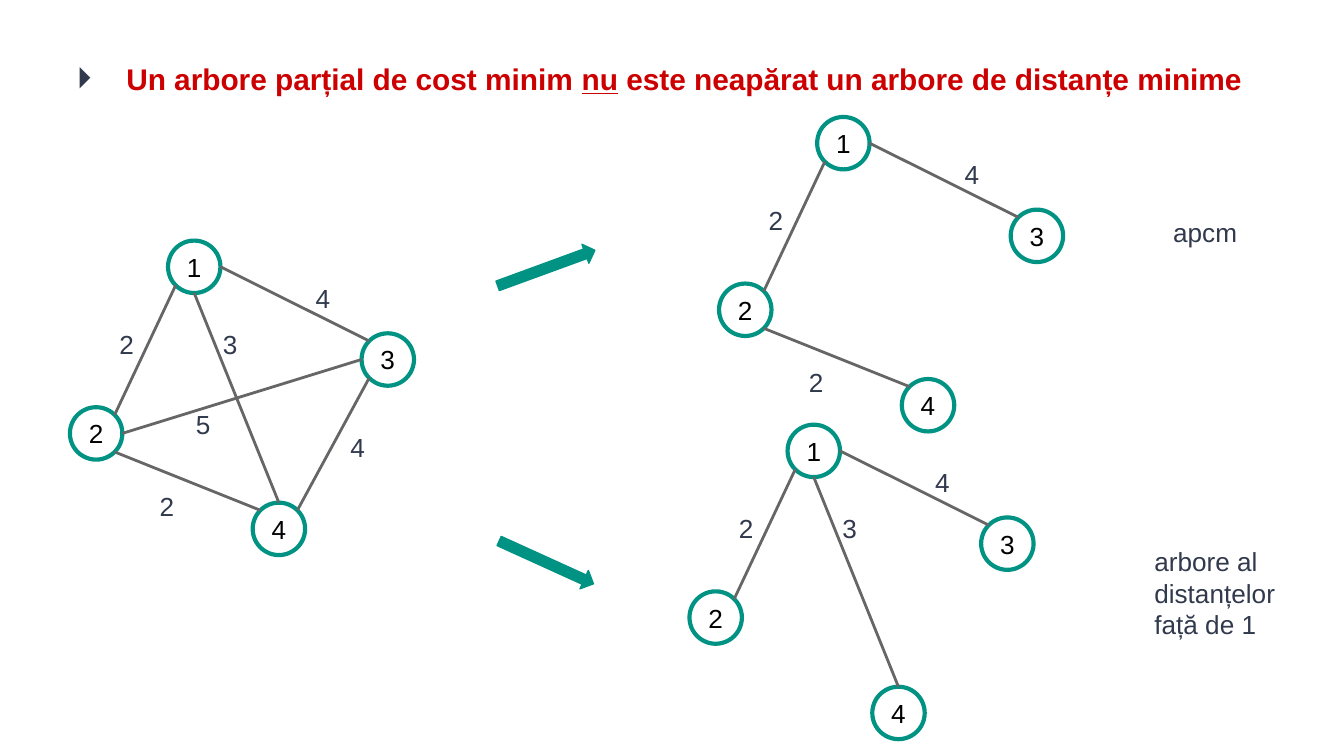
import math

import pptx
import pptx.util
import pptx.dml.color
import pptx.enum.shapes
import pptx.enum.text
from lxml import etree

Inches, Pt = pptx.util.Inches, pptx.util.Pt
Kind = pptx.enum.shapes.MSO_SHAPE
TEAL, GRAY, NAVY, RED = "009384", "666666", "31394D", "CC0000"


def paint(color, tone):
    color.rgb = pptx.dml.color.RGBColor.from_string(tone)


def write(frame, *parts, size=14, tone=NAVY, bold=False, pad=0.1,
          align="LEFT", anchor="TOP"):
    """Fill a frame with one paragraph; a part in a tuple is underlined."""
    frame.word_wrap = True
    frame.vertical_anchor = getattr(pptx.enum.text.MSO_ANCHOR, anchor)
    frame.margin_left = frame.margin_right = Inches(pad)
    frame.margin_top = frame.margin_bottom = Inches(pad)
    para = frame.paragraphs[0]
    para.alignment = getattr(pptx.enum.text.PP_ALIGN, align)
    for part in parts:
        run = para.add_run()
        run.text = "".join(part)
        font = run.font
        font.name, font.size, font.bold = "Arial", Pt(size), bold
        if isinstance(part, tuple):
            font.underline = True
        paint(font.color, tone)
    return para


# Slide in the ratio 16:9
deck = pptx.Presentation()
deck.slide_width = Inches(10)
deck.slide_height = deck.slide_width * 9 // 16
slide = deck.slides.add_slide(deck.slide_layouts[1])
shapes = slide.shapes

# Statement in the body placeholder
title = shapes.title.element
title.getparent().remove(title)
body = slide.placeholders[1]
body.left, body.top = Inches(0.34), Inches(0.31)
body.width, body.height = Inches(9.32), Inches(4.79)
para = write(body.text_frame, "Un arbore parțial de cost minim ", ("nu",),
             " este neapărat un arbore de distanțe minime",
             size=16, tone=RED, bold=True)
para.line_spacing = 1.15
para.space_before = Pt(0)
props = para._p.get_or_add_pPr()
props.set("marL", str(Inches(0.5)))
props.set("indent", str(Inches(-0.37)))
space = "{http://schemas.openxmlformats.org/drawingml/2006/main}"
tint = etree.SubElement(props, space + "buClr")
etree.SubElement(tint, space + "srgbClr", val=NAVY)
etree.SubElement(props, space + "buChar", char="⏵")

# Node corners and weight labels, measured from the corner of node 1
SIZE = 0.39
nodes = {1: (0, 0), 2: (-0.73, 1.24), 3: (1.44, 0.69), 4: (0.63, 1.95)}
# Each edge: start angle, end angle on the circles, weight, label corner
edges = {
    (1, 2): (135, -45, "2", (-0.46, 0.55)),
    (1, 3): (0, -135, "4", (1, 0.21)),
    (2, 4): (45, -135, "2", (-0.16, 1.76)),
    (4, 3): (-45, 135, "4", (1.26, 1.32)),
    (1, 4): (90, -90, "3", (0.31, 0.55)),
    (2, 3): (0, 180, "5", (0.11, 1.15)),
}
# The full graph, its minimum spanning tree and its distance tree
graphs = [
    (1.25, 1.79, list(edges)),
    (6.08, 0.87, [(1, 2), (1, 3), (2, 4)]),
    (5.86, 3.16, [(1, 2), (1, 3), (1, 4)]),
]

for left, top, links in graphs:
    for name, (dx, dy) in nodes.items():
        node = shapes.add_shape(Kind.OVAL, Inches(left + dx), Inches(top + dy),
                                Inches(SIZE), Inches(SIZE))
        node.shadow.inherit = False
        node.fill.background()
        paint(node.line.color, TEAL)
        node.line.width = Pt(2.25)
        write(node.text_frame, str(name), tone="000000", pad=0.02,
              align="CENTER", anchor="MIDDLE")
    for pair in links:
        start, end, weight, (dx, dy) = edges[pair]
        ends = []
        for name, angle in zip(pair, (start, end)):
            turn = math.radians(angle)
            x, y = nodes[name]
            ends += [Inches(left + x + SIZE / 2 * (1 + math.cos(turn))),
                     Inches(top + y + SIZE / 2 * (1 + math.sin(turn)))]
        edge = shapes.add_connector(
            pptx.enum.shapes.MSO_CONNECTOR.STRAIGHT, *ends)
        paint(edge.line.color, GRAY)
        edge.line.width = Pt(1.5)
        etree.SubElement(edge._element.spPr, space + "effectLst")
        label = shapes.add_textbox(Inches(left + dx), Inches(top + dy),
                                   Inches(0.47), Inches(0.44))
        write(label.text_frame, weight)

# Arrows from the graph to its two trees
for top, angle in ((1.92, -20.1), (4.11, 24.4)):
    arrow = shapes.add_shape(Kind.RIGHT_ARROW, Inches(3.68), Inches(top),
                             Inches(0.77), Inches(0.15))
    arrow.rotation = angle
    arrow.shadow.inherit = False
    arrow.fill.solid()
    paint(arrow.fill.fore_color, TEAL)
    paint(arrow.line.color, TEAL)
    arrow.line.width = Pt(0.75)

# Names of the trees
for text, left, top, width, height in (
        ("apcm", 8.63, 1.51, 0.82, 0.44),
        ("arbore al distanțelor față de 1", 8.49, 3.96, 1.11, 0.91)):
    note = shapes.add_textbox(Inches(left), Inches(top),
                              Inches(width), Inches(height))
    write(note.text_frame, text)

deck.save("out.pptx")
